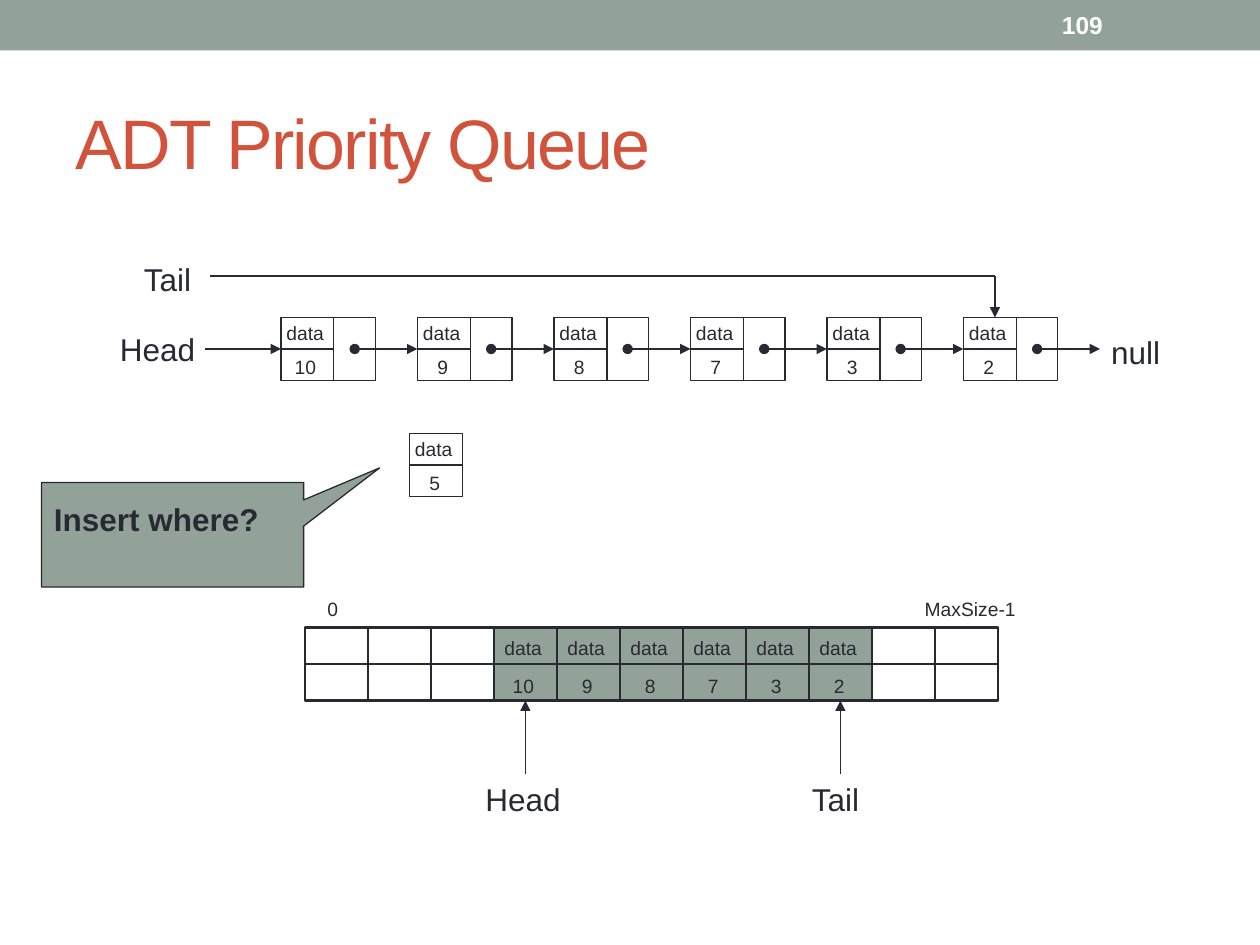
from lxml.etree import SubElement
from pptx import Presentation
from pptx.dml.color import RGBColor
from pptx.enum.shapes import MSO_CONNECTOR, MSO_SHAPE
from pptx.enum.text import MSO_ANCHOR, MSO_AUTO_SIZE, PP_ALIGN
from pptx.oxml.ns import qn
from pptx.util import Inches, Pt

COLORS = {"sage": "93A299", "ink": "292934", "title": "D2533C", "white": "FFFFFF"}
VALUES = ["10", "9", "8", "7", "3", "2"]
DATA_WIDTH, POINTER_WIDTH, NODE_HEIGHT = 0.42, 0.33, 0.5
LABEL_HEIGHT = 0.29


def rgb(name):
    return RGBColor.from_string(COLORS[name])


def add_box(slide, left, top, width, height, fill=None, line="ink", weight=0.75,
            kind=MSO_SHAPE.RECTANGLE):
    shape = slide.shapes.add_shape(
        kind, Inches(left), Inches(top), Inches(width), Inches(height))
    shape.shadow.inherit = False
    if fill:
        shape.fill.solid()
        shape.fill.fore_color.rgb = rgb(fill)
    else:
        shape.fill.background()
    if line:
        shape.line.color.rgb = rgb(line)
        shape.line.width = Pt(weight)
    else:
        shape.line.fill.background()
    return shape


def add_line(slide, start, end, head=None, tail=None):
    connector = slide.shapes.add_connector(
        MSO_CONNECTOR.STRAIGHT, *(Inches(value) for value in (*start, *end)))
    connector.line.color.rgb = rgb("ink")
    connector.line.width = Pt(0.75)
    properties = connector.line._get_or_add_ln()
    for tag, kind in (("a:headEnd", head), ("a:tailEnd", tail)):
        if kind:
            SubElement(properties, qn(tag)).set("type", kind)
    SubElement(connector._element.spPr, qn("a:effectLst"))


def add_text(slide, text, left, top, width, height, size=18, color="ink", bold=False,
             wrap=False, grow=True, middle=False, centered=False, spacing=None):
    shape = slide.shapes.add_textbox(
        Inches(left), Inches(top), Inches(width), Inches(height))
    frame = shape.text_frame
    frame.word_wrap = wrap
    frame.auto_size = MSO_AUTO_SIZE.SHAPE_TO_FIT_TEXT if grow else MSO_AUTO_SIZE.NONE
    frame.vertical_anchor = MSO_ANCHOR.MIDDLE if middle else MSO_ANCHOR.TOP
    paragraph = frame.paragraphs[0]
    paragraph.alignment = PP_ALIGN.CENTER if centered else PP_ALIGN.LEFT
    run = paragraph.add_run()
    run.text = text
    run.font.name = "Arial"
    run.font.size = Pt(size)
    run.font.bold = bold
    run.font.color.rgb = rgb(color)
    if spacing is not None:
        run.font._element.set("spc", str(spacing * 100))


def add_cell_labels(slide, value, left, width, data_top, value_top):
    """Centre the word "data" and a value on a cell."""
    value_width = 0.2 + 0.1 * len(value)
    for text, text_width, top in (("data", 0.53, data_top),
                                  (value, value_width, value_top)):
        add_text(slide, text, left + (width - text_width) / 2, top,
                 text_width, LABEL_HEIGHT, size=11)


def add_header(slide, left, top, width):
    add_box(slide, left, top, width, 0.4, fill="sage", line=None)
    add_text(slide, "109", left + 8.33, top + 0.02, 1.17, 0.36, size=14, color="white",
             bold=True, wrap=True, grow=False, middle=True)
    add_text(slide, "ADT Priority Queue", left + 0.5, top + 0.58, width - 1, 1.08,
             size=40, color="title", wrap=True, grow=False, middle=True, spacing=-1)


def add_data_cell(slide, value, left, top):
    middle = top + NODE_HEIGHT / 2
    add_box(slide, left, top, DATA_WIDTH, NODE_HEIGHT)
    add_line(slide, (left, middle), (left + DATA_WIDTH, middle))
    add_cell_labels(slide, value, left, DATA_WIDTH, top - 0.02, middle)


def add_linked_list(slide, left, top, width):
    """Row of nodes; width runs from the first node to the last pointer's tip."""
    pitch = width / len(VALUES)
    middle = top + NODE_HEIGHT / 2
    for index, value in enumerate(VALUES):
        node_left = left + index * pitch
        pointer_left = node_left + DATA_WIDTH
        add_data_cell(slide, value, node_left, top)
        add_box(slide, pointer_left, top, POINTER_WIDTH, NODE_HEIGHT)
        add_line(slide, (pointer_left + POINTER_WIDTH / 2, middle),
                 (node_left + pitch, middle), head="oval", tail="triangle")

    # Head and tail references, and the end of the list
    add_text(slide, "Head", left - 1.48, top + 0.04, 1, 0.42,
             grow=False, middle=True, centered=True)
    add_line(slide, (left - 0.6, middle), (left, middle), tail="triangle")
    add_text(slide, "Tail", left - 1.4, top - 0.52, 1, 0.42,
             grow=False, middle=True, centered=True)
    corner = (left + width - pitch + 0.25, top - 0.33)
    add_line(slide, (left - 0.56, corner[1]), corner)
    add_line(slide, corner, (corner[0], top), tail="triangle")
    add_text(slide, "null", left + width - 0.01, top + 0.07, 0.66, 0.4)


def add_question(slide, left, top, width, height):
    callout = add_box(slide, left, top, width, height, fill="sage",
                      kind=MSO_SHAPE.RECTANGULAR_CALLOUT)
    callout.adjustments[0] = 0.79
    callout.adjustments[1] = -0.64
    add_text(slide, "Insert where?", left, top + 0.09, width - 0.15, 0.4,
             bold=True, wrap=True)


def add_array(slide, left, top, width, height):
    cell_count, first_used = 11, 3
    last_used = first_used + len(VALUES) - 1
    cell_width = width / cell_count
    middle = top + height / 2

    # Cells, with the used ones filled
    for index in range(cell_count):
        used = first_used <= index <= last_used
        add_box(slide, left + index * cell_width, top, cell_width, height,
                fill="sage" if used else None, weight=1.25)
    add_line(slide, (left, middle), (left + width, middle))
    for index, value in enumerate(VALUES, first_used):
        add_cell_labels(slide, value, left + index * cell_width, cell_width,
                        top + 0.02, middle + 0.03)

    # Index labels
    add_text(slide, "0", left + 0.08, top - LABEL_HEIGHT, 0.3, LABEL_HEIGHT, size=11)
    add_text(slide, "MaxSize-1", left + width - 0.68, top - LABEL_HEIGHT,
             1, LABEL_HEIGHT, size=11)

    # Head and tail references
    bottom = top + height
    for text, index, text_width in (("Head", first_used, 0.83), ("Tail", last_used, 0.65)):
        center = left + (index + 0.5) * cell_width
        add_line(slide, (center, bottom), (center, bottom + 0.58), head="triangle")
        add_text(slide, text, center - text_width / 2, bottom + 0.58, text_width, 0.4)


def main():
    presentation = Presentation()
    presentation.slide_width = Inches(10)
    presentation.slide_height = Inches(7.5)
    slide = presentation.slides.add_slide(presentation.slide_layouts[6])
    add_header(slide, 0, 0, 10)
    add_linked_list(slide, 2.23, 2.52, 6.5)
    add_data_cell(slide, "5", 3.25, 3.44)
    add_question(slide, 0.33, 3.83, 2.08, 0.83)
    add_array(slide, 2.42, 4.98, 5.5, 0.58)
    presentation.save("out.pptx")


if __name__ == "__main__":
    main()
